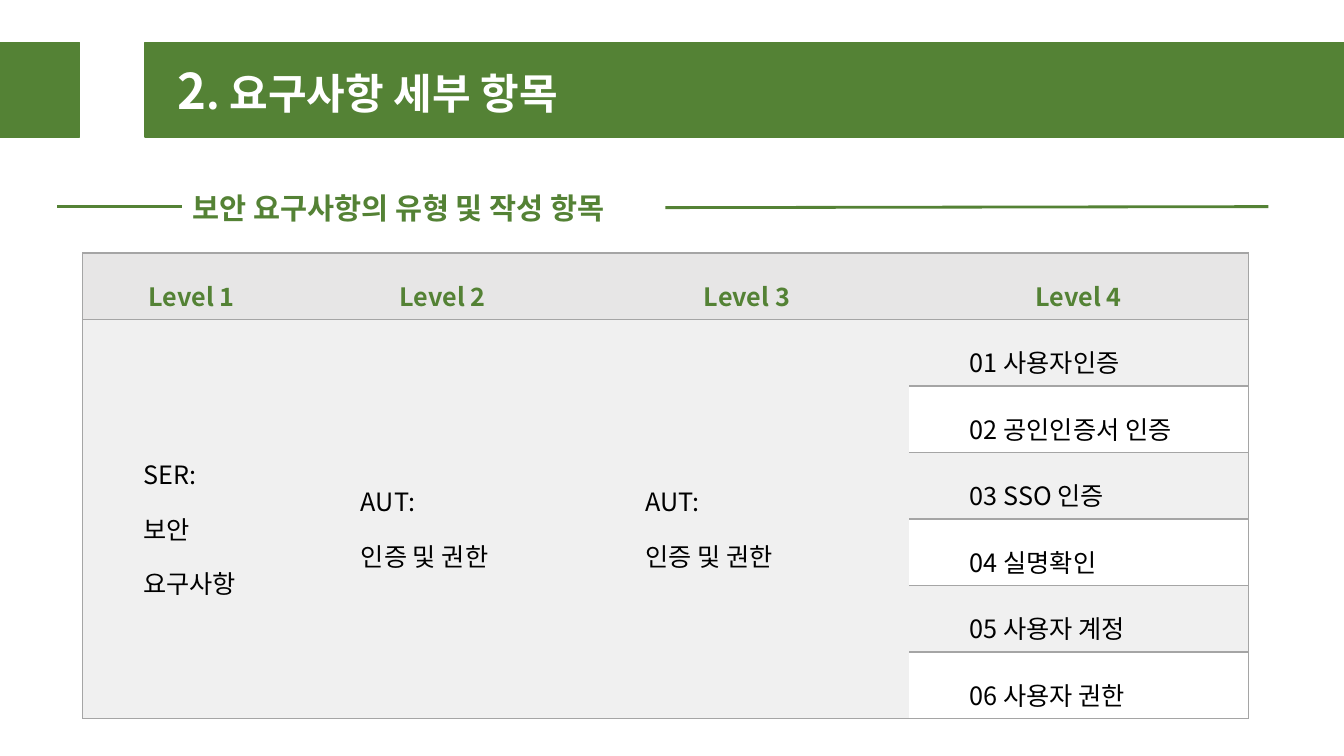
import pptx
import pptx.util
import pptx.dml.color
import pptx.enum.shapes
import pptx.enum.text
import pptx.oxml
import pptx.oxml.ns

Inches = pptx.util.Inches
GREEN, GRAY = "548235", "A5A5A5"
FONT = "Noto Sans CJK KR"


def color(value):
    return pptx.dml.color.RGBColor.from_string(value)


def write(frame, text, size=18, ink="000000", bold=False, align=None, spacing=None, indent=0, fresh=True):
    for number, line in enumerate(text.split("\n")):
        paragraph = frame.add_paragraph() if fresh and number else frame.paragraphs[-1]
        paragraph.alignment = align
        paragraph.line_spacing = spacing
        if indent:
            paragraph.level = 1
            paragraph._p.get_or_add_pPr().set("marL", str(Inches(indent)))
        run = paragraph.add_run()
        run.text = line
        run.font.size = pptx.util.Pt(size)
        run.font.bold = bold
        run.font.color.rgb = color(ink)
        run.font.name = FONT
        east_asian = pptx.oxml.parse_xml(f'<a:ea {pptx.oxml.ns.nsdecls("a")} typeface="{FONT}"/>')
        run.font._element.append(east_asian)


deck = pptx.Presentation()
deck.slide_width = Inches(13.33)
deck.slide_height = Inches(7.5)
slide = deck.slides.add_slide(deck.slide_layouts[6])

for left, width in ((0, 0.79), (1.44, 11.9)):
    banner = slide.shapes.add_shape(
        pptx.enum.shapes.MSO_SHAPE.RECTANGLE, Inches(left), Inches(0.42), Inches(width), Inches(0.94))
    banner.shadow.inherit = False
    banner.fill.solid()
    banner.fill.fore_color.rgb = color(GREEN)
    banner.line.color.rgb = color(GREEN)
    banner.line.width = pptx.util.Pt(1)

title = banner.text_frame
title.margin_left = Inches(0.32)
title.vertical_anchor = pptx.enum.text.MSO_ANCHOR.MIDDLE
left_align = pptx.enum.text.PP_ALIGN.LEFT
write(title, "2", size=35, ink="FFFFFF", bold=True, align=left_align)
write(title, ". 요구사항 세부 항목", size=30, ink="FFFFFF", bold=True, align=left_align, fresh=False)

levels = ["Level 1", "Level 2", "Level 3", "Level 4"]
categories = ["SER:\n보안\n요구사항", "AUT:\n인증 및 권한", "AUT:\n인증 및 권한"]
details = ["01 사용자인증", "02 공인인증서 인증", "03 SSO 인증", "04 실명확인", "05 사용자 계정", "06 사용자 권한"]
last_row, last_column = len(details), len(levels) - 1

requirements = slide.shapes.add_table(
    last_row + 1, len(levels), Inches(0.82), Inches(2.51), Inches(11.56), Inches(4.62)).table
requirements.horz_banding = False
requirements.first_row = False
for column, width in zip(requirements.columns, (2.16, 2.82, 3.22, 3.36)):
    column.width = Inches(width)
for row in requirements.rows:
    row.height = Inches(0.66)
for column in range(last_column):
    requirements.cell(1, column).merge(requirements.cell(last_row, column))

for row in range(last_row + 1):
    for column in range(last_column + 1):
        cell = requirements.cell(row, column)
        cell.vertical_anchor = pptx.enum.text.MSO_ANCHOR.MIDDLE
        ruled = column == last_column
        edges = {
            "L": column == 0,
            "R": ruled,
            "T": ruled or row <= 1,
            "B": ruled or row in (0, 1, last_row),
        }
        for side, drawn in edges.items():
            paint = f'<a:solidFill><a:srgbClr val="{GRAY}"/></a:solidFill>' if drawn else "<a:noFill/>"
            cell._tc.get_or_add_tcPr().append(pptx.oxml.parse_xml(
                f'<a:ln{side} {pptx.oxml.ns.nsdecls("a")} w="12700">{paint}</a:ln{side}>'))
        cell.fill.solid()
        if row == 0:
            cell.fill.fore_color.rgb = color("E7E6E6")
            write(cell.text_frame, levels[column], ink=GREEN, bold=True,
                  align=pptx.enum.text.PP_ALIGN.CENTER, spacing=1.5)
            continue
        cell.fill.fore_color.rgb = color("FFFFFF" if ruled and row % 2 == 0 else "F0F0F0")
        if ruled:
            write(cell.text_frame, details[row - 1], spacing=1.5, indent=0.5)
        elif row == 1:
            write(cell.text_frame, categories[column], spacing=1.5, indent=0.5)

for start_x, start_y, end_x, end_y in ((0.57, 2.05, 1.81, 2.05), (6.6, 2.06, 12.58, 2.05)):
    rule = slide.shapes.add_connector(
        pptx.enum.shapes.MSO_CONNECTOR.STRAIGHT,
        Inches(start_x), Inches(start_y), Inches(end_x), Inches(end_y))
    rule.line.color.rgb = color(GREEN)
    rule.line.width = pptx.util.Pt(2)
    rule._element.spPr.append(pptx.oxml.parse_xml(f'<a:effectLst {pptx.oxml.ns.nsdecls("a")}/>'))

subtitle = slide.shapes.add_textbox(Inches(1.81), Inches(1.84), Inches(4.95), Inches(0.45)).text_frame
subtitle.word_wrap = True
write(subtitle, "보안 요구사항의 유형 및 작성 항목", size=21, ink=GREEN, bold=True)

deck.save("out.pptx")
